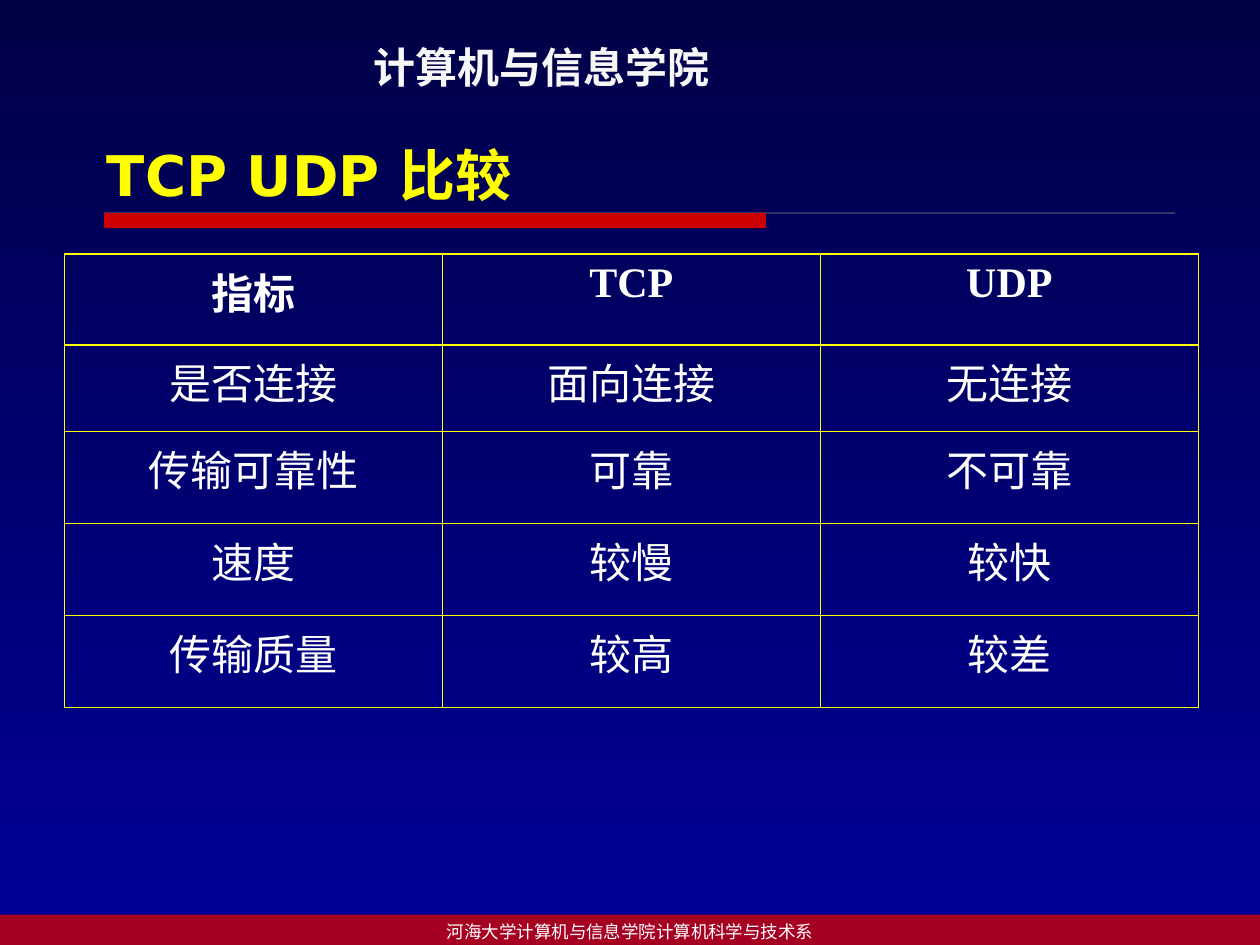
from pptx import Presentation
from pptx.dml.color import RGBColor
from pptx.enum import shapes, text
from pptx.oxml import parse_xml
from pptx.oxml.ns import nsdecls
from pptx.util import Pt

SANS, SERIF = "DejaVu Sans", "Times New Roman"
ROWS = [
    ["指标", "TCP", "UDP"],
    ["是否连接", "面向连接", "无连接"],
    ["传输可靠性", "可靠", "不可靠"],
    ["速度", "较慢", "较快"],
    ["传输质量", "较高", "较差"],
]
HEIGHTS = [51.84, 49.68, 52.56, 52.56, 52.56]


def hue(code):
    return RGBColor.from_string(code)


def write(frame, words, size, face, code, bold=False, center=False):
    frame.text = words
    para = frame.paragraphs[0]
    para.alignment = text.PP_ALIGN.CENTER if center else text.PP_ALIGN.LEFT
    font = para.runs[0].font
    font.size, font.name, font.bold = Pt(size), face, bold
    font.color.rgb = hue(code)


def paint(slide):
    fill = slide.background.fill
    fill.gradient()
    fill.gradient_angle = 270
    for stop, code in zip(fill.gradient_stops, ("000047", "000099")):
        stop.color.rgb = hue(code)


def block(slide, x, y, w, h, code):
    rect = slide.shapes.add_shape(shapes.MSO_SHAPE.RECTANGLE, Pt(x), Pt(y), Pt(w), Pt(h))
    rect.shadow.inherit = False
    rect.fill.solid()
    rect.fill.fore_color.rgb = hue(code)
    rect.line.fill.background()
    return rect


def rule(slide, x, y, w, h):
    line = slide.shapes.add_connector(
        shapes.MSO_CONNECTOR.STRAIGHT, Pt(x), Pt(y), Pt(x + w), Pt(y))
    line.line.width = Pt(0.75)
    line.line.color.rgb = hue("333366")
    line._element.spPr.append(parse_xml(f"<a:effectLst {nsdecls('a')}/>"))
    block(slide, x, y, w * 0.618, h, "CC0000")


def label(slide, x, y, w, h, words, size, code):
    box = slide.shapes.add_textbox(Pt(x), Pt(y), Pt(w), Pt(h))
    box.text_frame.word_wrap = True
    write(box.text_frame, words, size, SANS, code, bold=True)


def footer(slide, x, y, w, h):
    bar = block(slide, x, y, w, h, "A50021")
    bar.text_frame.vertical_anchor = text.MSO_ANCHOR.MIDDLE
    write(bar.text_frame, "河海大学计算机与信息学院计算机科学与技术系", 10, SERIF, "FFFFFF", center=True)


def border(cell, code):
    props = cell._tc.get_or_add_tcPr()
    for spot, side in enumerate(("lnL", "lnR", "lnT", "lnB")):
        props.insert(spot, parse_xml(
            f'<a:{side} {nsdecls("a")} w="{Pt(1)}"><a:solidFill>'
            f'<a:srgbClr val="{code}"/></a:solidFill></a:{side}>'))


def grid(slide, x, y, w):
    table = slide.shapes.add_table(
        len(ROWS), len(ROWS[0]), Pt(x), Pt(y), Pt(w), Pt(sum(HEIGHTS))).table
    table.horz_banding = False
    for col in table.columns:
        col.width = Pt(w / len(ROWS[0]))
    for r, (row, high) in enumerate(zip(ROWS, HEIGHTS)):
        table.rows[r].height = Pt(high)
        for c, words in enumerate(row):
            cell = table.cell(r, c)
            cell.fill.background()
            border(cell, "FFFF00")
            write(cell.text_frame, words, 24, SERIF, "FFFFFF", bold=r == 0, center=True)


def main():
    deck = Presentation()
    deck.slide_width, deck.slide_height = Pt(720), Pt(540)
    slide = deck.slides.add_slide(deck.slide_layouts[6])
    paint(slide)
    rule(slide, 59.5, 121.8, 612, 8.6)
    label(slide, 206.6, 20.2, 221, 36, "计算机与信息学院", 24, "F7F7F7")
    footer(slide, 0, 522.7, 720, 19.4)
    grid(slide, 36.8, 145.2, 648)
    label(slide, 54, 77, 550, 45.4, "TCP UDP 比较", 32, "FFFF00")
    deck.save("out.pptx")


if __name__ == "__main__":
    main()
